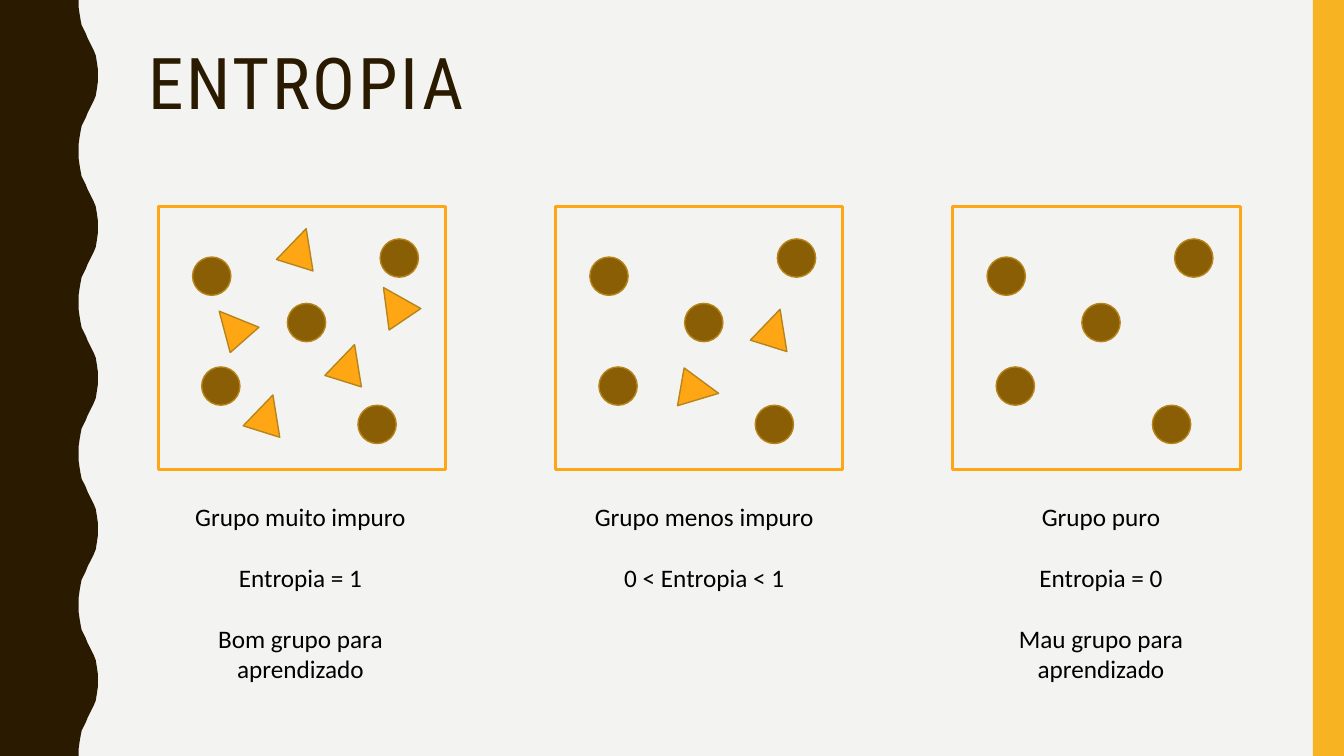
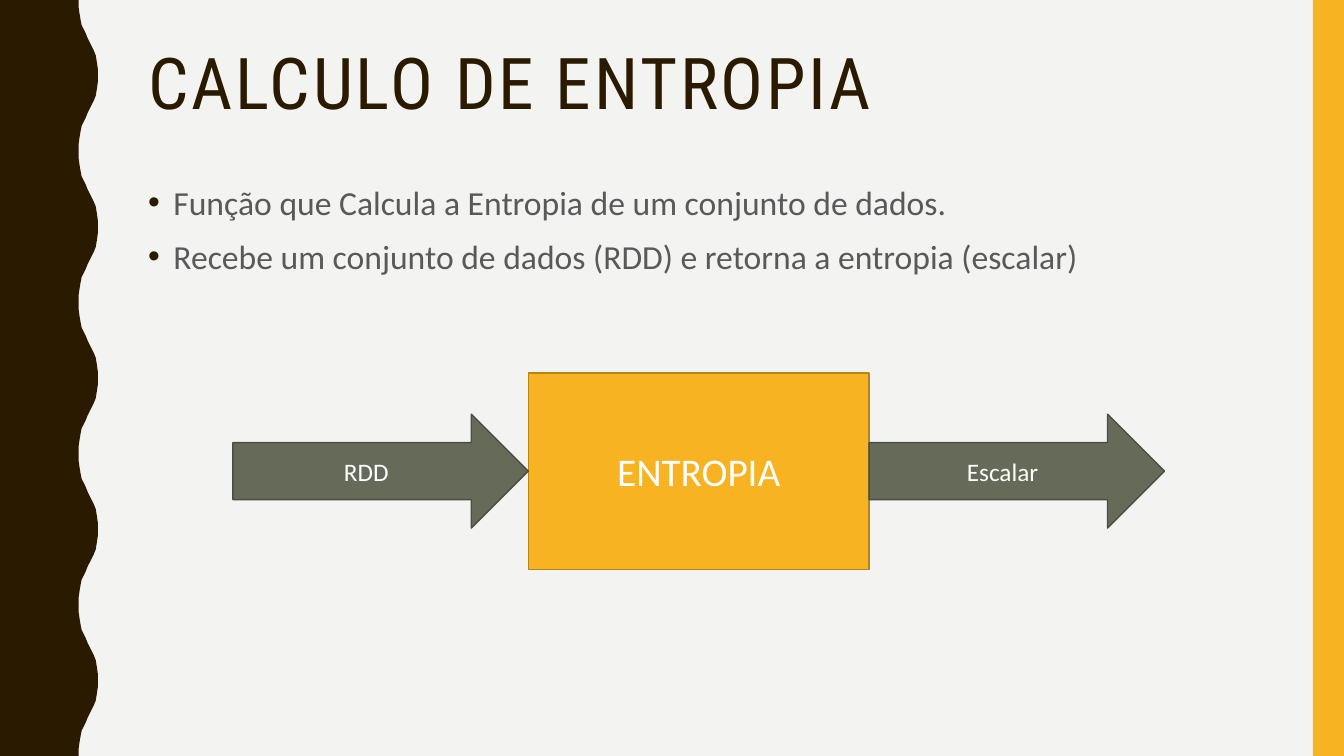
import dataclasses

import lxml.etree
import pptx
import pptx.dml.color
import pptx.enum.shapes
import pptx.enum.text
import pptx.oxml.ns
import pptx.util

Inches = pptx.util.Inches
Pt = pptx.util.Pt
Color = pptx.dml.color.RGBColor.from_string
Preset = pptx.enum.shapes.MSO_SHAPE
Align = pptx.enum.text.PP_ALIGN
Anchor = pptx.enum.text.MSO_ANCHOR
qn = pptx.oxml.ns.qn


@dataclasses.dataclass(frozen=True)
class Theme:
    title_font: str = "Roboto Condensed"
    body_font: str = "Calibri"
    title_size: float = 51
    process_size: float = 28
    body_size: float = 24
    label_size: float = 18
    outline: float = 1
    frame_outline: float = 2.25
    paper: str = "F3F3F2"
    dark: str = "2A1A00"
    amber: str = "F8B323"
    orange: str = "FFA615"
    brown: str = "895E04"
    edge: str = "B7841A"
    arrow: str = "656A59"
    arrow_edge: str = "4B4E42"
    body_text: str = "595959"
    black: str = "000000"
    white: str = "FFFFFF"


@dataclasses.dataclass(frozen=True)
class Box:
    left: float
    top: float
    width: float
    height: float

    def inside(self, left, top, width, height):
        """Box whose position is measured from this one's corner."""
        return Box(self.left + left, self.top + top, width, height)

    def lengths(self):
        return [Inches(side) for side in dataclasses.astuple(self)]


THEME = Theme()
PAGE = Box(0, 0, 13.33, 7.5)
TITLE = Box(1.37, 0.42, 11.13, 1.63)
BODY = Box(1.37, 1.71, 11.13, 1.24)
GROUP_ROW = Box(1.57, 2.05, 10.73, 4.79)
PROCESS = Box(2.31, 3.7, 9.24, 1.95)

# First half of one wave of the left band; the second half mirrors it
WAVE_PERIOD = 1.5
HALF_WAVE = [(0.78, 0), (0.78, 0.07), (0.79, 0.14), (0.8, 0.2), (0.81, 0.25),
             (0.83, 0.29), (0.85, 0.33), (0.87, 0.38), (0.89, 0.42), (0.91, 0.46),
             (0.93, 0.5), (0.95, 0.55), (0.96, 0.61), (0.97, 0.68), (0.97, 0.75)]

# Marks: offsets from the corner of their frame, with the turn of each triangle
MARK_SIZE = 0.38
CIRCLES = [(1.28, 0.96), (0.34, 0.5), (0.43, 1.59), (2.2, 0.32), (1.98, 1.97)]
MANY_TRIANGLES = [(1.22, 0.21, 17.4), (1.7, 1.36, 17.4), (2.15, 0.77, 325.9),
                  (0.54, 0.99, 318.6), (0.89, 1.86, 17.4)]
FEW_TRIANGLES = [(1.24, 1.63, 99.9), (1.98, 1.01, 17.4)]

# Groups: triangles, caption offset and width, caption lines
GROUPS = [
    (MANY_TRIANGLES, 0.13, 2.56,
     ["Grupo muito impuro", "Entropia = 1", "Bom grupo para aprendizado"]),
    (FEW_TRIANGLES, -0.01, 2.97,
     ["Grupo menos impuro", "0 < Entropia < 1"]),
    ([], 0.19, 2.56,
     ["Grupo puro", "Entropia = 0", "Mau grupo para aprendizado"]),
]


def paint(shape, fill=None, line=None, width=THEME.outline):
    shape.shadow.inherit = False
    if fill:
        shape.fill.solid()
        shape.fill.fore_color.rgb = Color(fill)
    else:
        shape.fill.background()
    if line:
        shape.line.color.rgb = Color(line)
        shape.line.width = Pt(width)
    else:
        shape.line.fill.background()


def add_preset(page, preset, box, fill=None, line=None, width=THEME.outline):
    shape = page.shapes.add_shape(preset, *box.lengths())
    paint(shape, fill, line, width)
    return shape


def write(frame, lines, font, size, color, align=Align.LEFT, anchor=Anchor.TOP):
    frame.text = "\n".join(lines)
    frame.word_wrap = True
    frame.auto_size = pptx.enum.text.MSO_AUTO_SIZE.NONE
    frame.vertical_anchor = anchor
    for para in frame.paragraphs:
        para.alignment = align
        for span in para.runs:
            span.font.name = font
            span.font.size = Pt(size)
            span.font.color.rgb = Color(color)


def place(shape, box):
    shape.left, shape.top, shape.width, shape.height = box.lengths()


def wave_points():
    mirrored = [(x, WAVE_PERIOD - y) for x, y in HALF_WAVE[-2:0:-1]]
    count = round(PAGE.height / WAVE_PERIOD)
    points = [(x, y + turn * WAVE_PERIOD)
              for turn in range(count) for x, y in HALF_WAVE + mirrored]
    return points + [(HALF_WAVE[0][0], PAGE.height), (0, PAGE.height)]


def decorate_master(deck, page):
    """Set the background, draw the side bands and move them to the master."""
    master = deck.slide_master
    master.background.fill.solid()
    master.background.fill.fore_color.rgb = Color(THEME.paper)
    builder = page.shapes.build_freeform(0, 0, scale=1.0)
    builder.add_line_segments([(Inches(x), Inches(y)) for x, y in wave_points()])
    wave = builder.convert_to_shape()
    paint(wave, THEME.dark)
    stripe = add_preset(page, Preset.RECTANGLE,
                        PAGE.inside(13.02, 0, 0.31, PAGE.height), THEME.amber)
    for band in (stripe, wave):
        master.shapes.element.insert(2, band.element)


def add_title(page, text):
    title = page.shapes.title
    place(title, TITLE)
    write(title.text_frame, [text], THEME.title_font, THEME.title_size, THEME.dark)
    para = title.text_frame.paragraphs[0]
    para.line_spacing = 0.9
    for properties in para.runs[0].font._element.iter(qn("a:rPr")):
        properties.set("spc", "200")


def add_bullets(page, box, lines):
    body = page.placeholders[1]
    place(body, box)
    write(body.text_frame, lines, THEME.body_font, THEME.body_size, THEME.body_text)
    for para in body.text_frame.paragraphs:
        para.line_spacing = 1.1
        para.space_before = Pt(7)
        properties = para._p.get_or_add_pPr()
        properties.set("marL", str(Inches(0.25)))
        properties.set("indent", str(Inches(-0.25)))
        color = lxml.etree.SubElement(properties, qn("a:buClr"))
        lxml.etree.SubElement(color, qn("a:srgbClr")).set("val", THEME.dark)
        lxml.etree.SubElement(properties, qn("a:buChar")).set("char", "•")


def add_group(page, box, triangles, caption_left, caption_width, lines):
    # Frame and marks
    add_preset(page, Preset.RECTANGLE, box.inside(0, 0, box.width, 2.61),
               line=THEME.orange, width=THEME.frame_outline)
    for left, top in CIRCLES:
        add_preset(page, Preset.OVAL, box.inside(left, top, MARK_SIZE, MARK_SIZE),
                   THEME.brown, THEME.edge)
    for left, top, turn in triangles:
        triangle = add_preset(page, Preset.ISOSCELES_TRIANGLE,
                              box.inside(left, top, MARK_SIZE, MARK_SIZE),
                              THEME.orange, THEME.edge)
        triangle.rotation = turn

    # Caption
    area = box.inside(caption_left, 2.87, caption_width, 1.92)
    caption = page.shapes.add_textbox(*area.lengths())
    write(caption.text_frame, lines, THEME.body_font, THEME.label_size,
          THEME.black, Align.CENTER)
    for para in caption.text_frame.paragraphs[1:]:
        para.space_before = Pt(22)


def add_groups(page, box):
    width = 2.85
    pitch = (box.width - width) / (len(GROUPS) - 1)
    for index, group in enumerate(GROUPS):
        add_group(page, box.inside(index * pitch, 0, width, box.height), *group)


def add_process(page, box):
    arrow_width, arrow_height = 2.93, 1.13
    arrow_top = (box.height - arrow_height) / 2
    core_width = box.width - 2 * arrow_width
    steps = [
        ("ENTROPIA", Preset.RECTANGLE,
         box.inside(arrow_width, 0, core_width, box.height),
         THEME.amber, THEME.edge, THEME.process_size),
    ]
    for label, left in (("RDD", 0), ("Escalar", arrow_width + core_width)):
        steps.append((label, Preset.RIGHT_ARROW,
                      box.inside(left, arrow_top, arrow_width, arrow_height),
                      THEME.arrow, THEME.arrow_edge, THEME.label_size))
    for label, preset, area, fill, line, size in steps:
        shape = add_preset(page, preset, area, fill, line)
        write(shape.text_frame, [label], THEME.body_font, size, THEME.white,
              Align.CENTER, Anchor.MIDDLE)


def build_groups_page(page):
    add_title(page, "ENTROPIA")
    add_groups(page, GROUP_ROW)


def build_process_page(page):
    add_title(page, "CALCULO DE ENTROPIA")
    add_bullets(page, BODY, [
        "Função que Calcula a Entropia de um conjunto de dados.",
        "Recebe um conjunto de dados (RDD) e retorna a entropia (escalar)",
    ])
    add_process(page, PROCESS)


def main():
    deck = pptx.Presentation()
    deck.slide_width, deck.slide_height = Inches(PAGE.width), Inches(PAGE.height)
    groups_page = deck.slides.add_slide(deck.slide_layouts.get_by_name("Title Only"))
    decorate_master(deck, groups_page)
    build_groups_page(groups_page)
    process_layout = deck.slide_layouts.get_by_name("Title and Content")
    build_process_page(deck.slides.add_slide(process_layout))
    deck.save("out.pptx")


if __name__ == "__main__":
    main()
